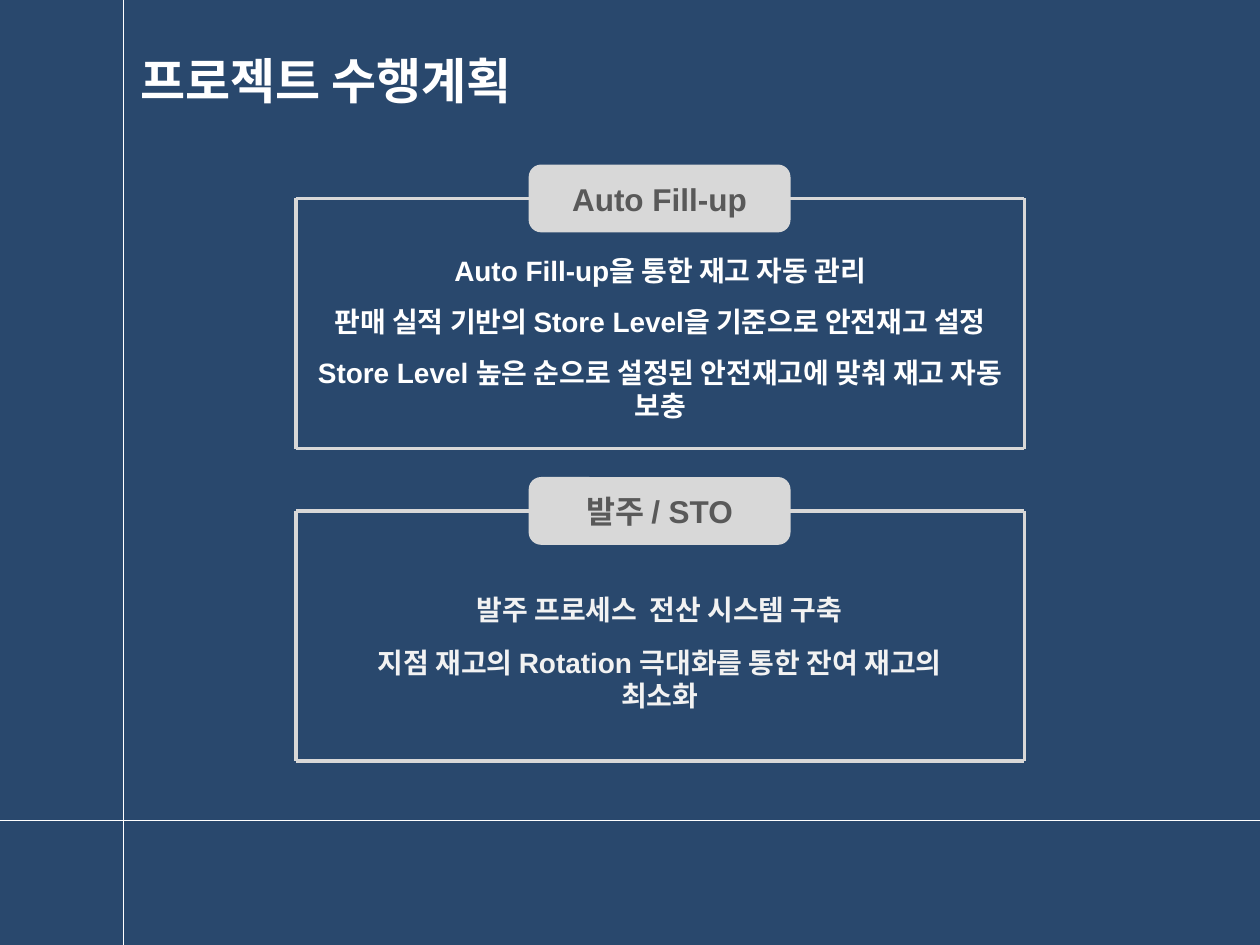
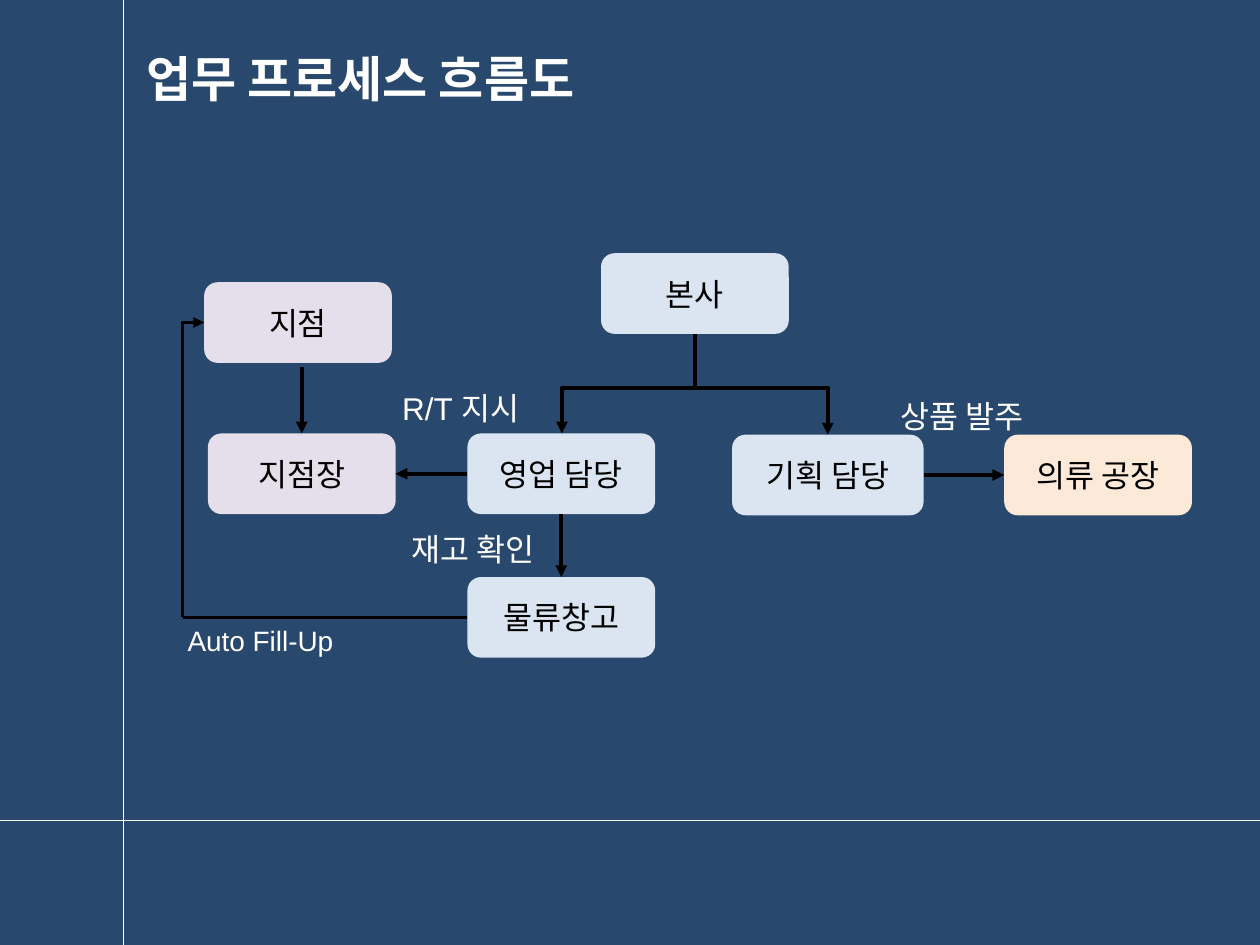
"""Build two slides on a store stock project: its plan and its process flow."""
from lxml.etree import SubElement
from pptx import Presentation
from pptx.dml.color import RGBColor
from pptx.enum.shapes import MSO_CONNECTOR as Conn, MSO_SHAPE as Shape
from pptx.enum.text import MSO_ANCHOR as Anchor, MSO_AUTO_SIZE as Fit, PP_ALIGN as Align
from pptx.oxml.ns import qn
from pptx.util import Inches, Pt

WIDE, HIGH = Inches(10), Inches(7.5)
UNIT = WIDE // 100
COLS, ROWS = 100, 75

NAVY = RGBColor(0x29, 0x48, 0x6D)
WHITE = RGBColor(0xFF, 0xFF, 0xFF)
PALE = RGBColor(0xF2, 0xF2, 0xF2)
SILVER = RGBColor(0xD8, 0xD8, 0xD8)
GREY = RGBColor(0x59, 0x59, 0x59)
BLACK = RGBColor(0, 0, 0)
LILAC = RGBColor(0xE5, 0xDF, 0xEC)
SKY = RGBColor(0xDA, 0xE5, 0xF1)
PEACH = RGBColor(0xFD, 0xE9, 0xD8)

LATIN, HANGUL = "Arial", "Noto Sans CJK KR"
TOP, LEFT, BOTTOM, RIGHT = range(4)


def cells(*nums):
    """Turn grid columns and rows into lengths."""
    return [round(num * UNIT) for num in nums]


def style(frame, size, color, bold=False, font=LATIN, align=Align.CENTER, gap=0):
    """Format every paragraph of a text frame."""
    for place, para in enumerate(frame.paragraphs):
        para.alignment = align
        para.space_before = Pt(gap if place else 0)
        for run in para.runs:
            run.font.name, run.font.size, run.font.bold = font, Pt(size), bold
            run.font.color.rgb = color
            SubElement(run.font._element, qn("a:ea"), typeface=HANGUL)


def place(shape, box):
    """Move a shape to a box on the grid."""
    shape.left, shape.top, shape.width, shape.height = cells(*box)


def line(slide, start, end, color, width, head=None, kind=Conn.STRAIGHT):
    """Draw a connector with an arrowhead at headEnd or tailEnd if asked."""
    link = slide.shapes.add_connector(kind, *cells(*start, *end))
    link.line.color.rgb = color
    link.line.width = Pt(width)
    props = link._element.spPr
    if head:
        SubElement(link.line._get_or_add_ln(), qn("a:" + head), type="triangle")
    if kind == Conn.ELBOW:
        props.find(qn("a:prstGeom")).set("prst", "bentConnector2")
    SubElement(props, qn("a:effectLst"))
    return link


def join(slide, first, out, last, into):
    """Draw an arrow from one box side to another."""
    link = line(slide, (0, 0), (1, 1), BLACK, 2.25, "tailEnd")
    link.begin_connect(first, out)
    link.end_connect(last, into)


def round_box(slide, text, box, fill, color, bold=False, font=HANGUL):
    """Draw a rounded box with centred text."""
    shape = slide.shapes.add_shape(Shape.ROUNDED_RECTANGLE, *cells(*box))
    shape.shadow.inherit = False
    shape.fill.solid()
    shape.fill.fore_color.rgb = fill
    shape.line.fill.background()
    shape.text_frame.text = text
    shape.text_frame.vertical_anchor = Anchor.MIDDLE
    style(shape.text_frame, 18, color, bold, font)
    return shape


def label(slide, text, box, size=18, font=HANGUL, align=Align.LEFT):
    """Write a white label beside an arrow."""
    frame = slide.shapes.add_textbox(*cells(*box)).text_frame
    frame.word_wrap = True
    frame.text = text
    style(frame, size, WHITE, font=font, align=align)


def start(deck, layout, title, box, font):
    """Add a slide with the two guide lines and its title."""
    slide = deck.slides.add_slide(deck.slide_layouts[layout])
    line(slide, (0, 65.1), (COLS, 65.1), WHITE, 0.75)
    line(slide, (9.8, 0), (9.8, ROWS), WHITE, 0.75)
    head = slide.shapes.title
    place(head, box)
    head.text_frame.text = title
    head.text_frame.auto_size = Fit.NONE
    head.text_frame.vertical_anchor = Anchor.MIDDLE
    style(head.text_frame, 28, WHITE, True, font)
    return slide


def points(body, items, box, color, gap):
    """Fill a body placeholder with centred lines without bullets."""
    place(body, box)
    frame = body.text_frame
    frame.text = "\n".join(items)
    frame.auto_size = Fit.NONE
    style(frame, 16, color, True, gap=gap)
    for para in frame.paragraphs:
        props = para._p.get_or_add_pPr()
        props.set("marL", "0")
        props.set("indent", "0")
        SubElement(props, qn("a:buNone"))


def panel(slide, name, row):
    """Draw a framed panel with a name tab on its top edge."""
    tab = round_box(slide, name, (42.1, row, 20.5, 5.1), SILVER, GREY, True, LATIN)
    tab.line.color.rgb = SILVER
    tab.line.width = Pt(2)
    west, east, top, base = 23.5, 81.3, row + 2.55, row + 22.4
    spots = [(42.1, top), (west, top), (west, base), (east, base), (east, top), (62.6, top)]
    sides = [line(slide, *pair, SILVER, 2) for pair in zip(spots, spots[1:])]
    sides[0].begin_connect(tab, LEFT)
    sides[-1].end_connect(tab, RIGHT)


def plan(deck):
    """Build the project plan slide."""
    slide = start(deck, 3, "프로젝트 수행계획", (4.9, 3.5, 41.9, 5.7), LATIN)
    panel(slide, "Auto Fill-up", 13.2)
    panel(slide, "발주 / STO", 38)
    fill, order = slide.placeholders[1], slide.placeholders[2]
    points(fill, [
        "Auto Fill-up을 통한 재고 자동 관리",
        "판매 실적 기반의 Store Level을 기준으로 안전재고 설정",
        "Store Level 높은 순으로 설정된 안전재고에 맞춰 재고 자동 보충",
    ], (22.6, 19.6, 59.6, 14.6), WHITE, 10)
    points(order, [
        "발주 프로세스  전산 시스템 구축",
        "지점 재고의 Rotation 극대화를 통한 잔여 재고의 최소화",
    ], (26.2, 46.5, 52.3, 10), PALE, 11)


def flow(deck):
    """Build the process flow slide."""
    slide = start(deck, 5, "업무 프로세스 흐름도", (5.9, 3.5, 45.4, 5.3), HANGUL)
    nodes = [
        ("지점", 16.2, 22.4, 14.9, LILAC),
        ("지점장", 16.5, 34.4, 14.9, LILAC),
        ("본사", 47.7, 20.1, 14.9, SKY),
        ("영업 담당", 37.1, 34.4, 14.9, SKY),
        ("물류창고", 37.1, 45.8, 14.9, SKY),
        ("기획 담당", 58.1, 34.5, 15.2, SKY),
        ("의류 공장", 79.7, 34.5, 14.9, PEACH),
    ]
    store, chief, head, sales, depot, planner, plant = [
        round_box(slide, text, (col, row, wide, 6.4), fill, BLACK)
        for text, col, row, wide, fill in nodes]

    join(slide, sales, LEFT, chief, RIGHT)
    join(slide, sales, BOTTOM, depot, TOP)
    join(slide, planner, RIGHT, plant, LEFT)
    line(slide, (23.95, 29.1), (23.95, 34.4), BLACK, 2.25, "tailEnd").end_connect(chief, TOP)

    fork = (55.15, 30.8)
    line(slide, fork, fork, BLACK, 2.25).begin_connect(head, BOTTOM)
    for spot in [(44.6, 34.4), (65.7, 34.5)]:
        line(slide, fork, spot, BLACK, 2.25, "tailEnd", Conn.ELBOW)

    line(slide, (37.1, 49), (14.5, 49), BLACK, 2).begin_connect(depot, LEFT)
    line(slide, (16.2, 25.6), (14.5, 49), BLACK, 2, "headEnd", Conn.ELBOW)

    label(slide, "R/T 지시", (30.1, 30.4, 12.9, 4), font=LATIN, align=Align.CENTER)
    label(slide, "재고 확인", (31.7, 41.6, 13.7, 4))
    label(slide, "상품 발주", (70.5, 31, 12.9, 4))
    label(slide, "Auto Fill-Up", (13.9, 49, 17.2, 3.7), 16, LATIN)


def main():
    """Make the deck and save it."""
    deck = Presentation()
    deck.slide_width, deck.slide_height = WIDE, HIGH
    back = deck.slide_master.background.fill
    back.solid()
    back.fore_color.rgb = NAVY
    plan(deck)
    flow(deck)
    deck.save("out.pptx")


if __name__ == "__main__":
    main()
